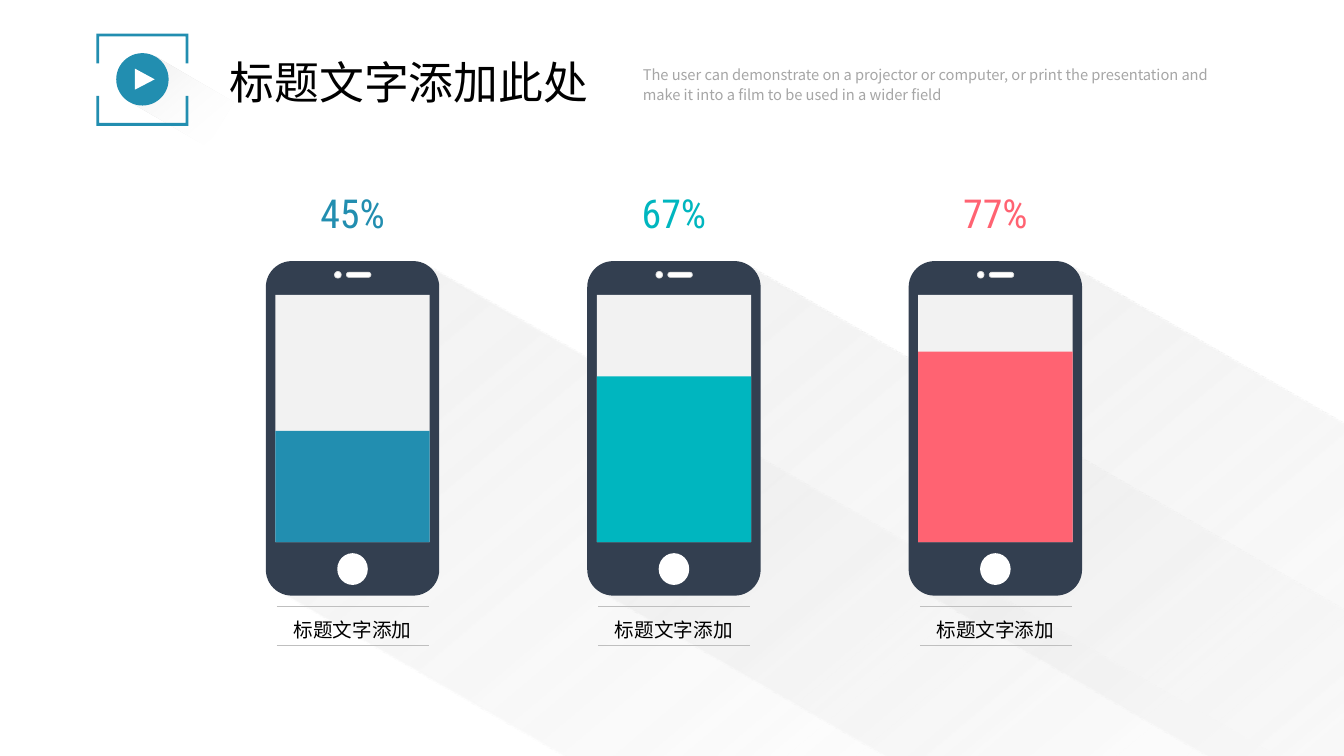
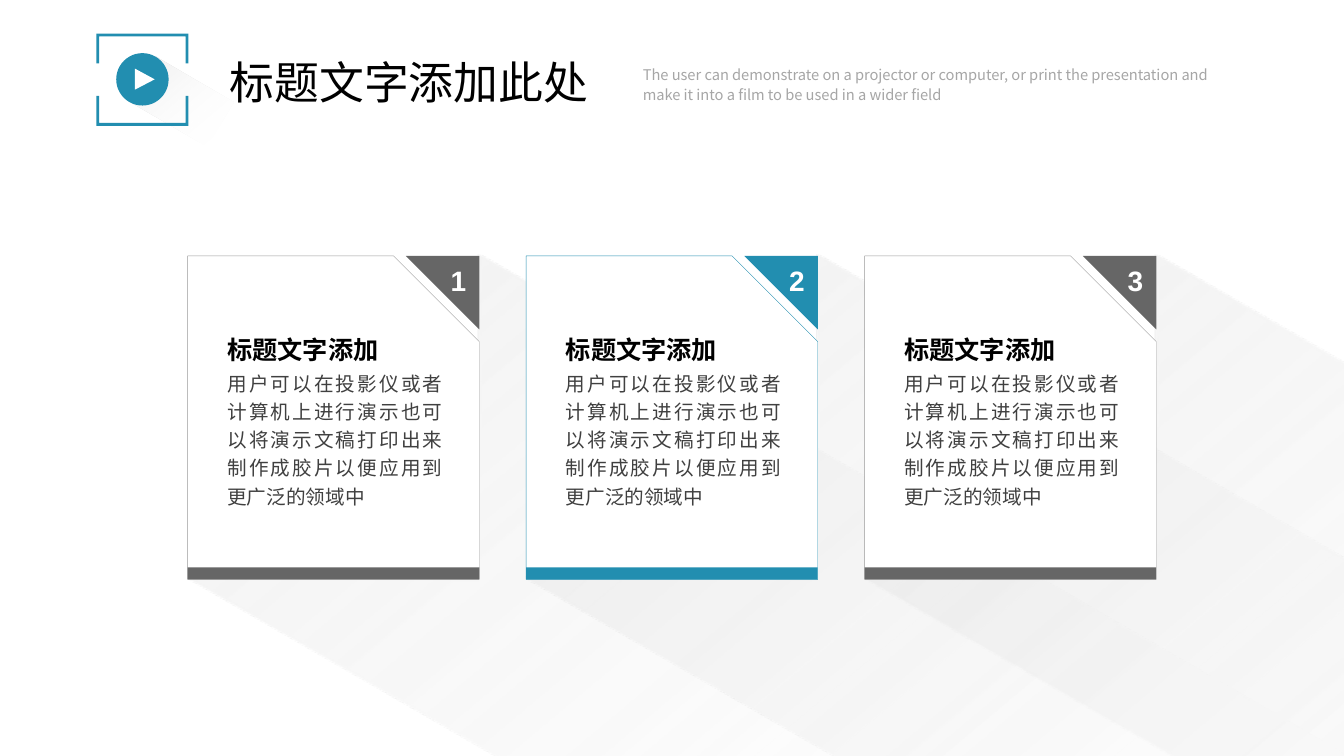
from dataclasses import dataclass

from lxml import etree
from pptx import Presentation
from pptx.dml.color import RGBColor
from pptx.enum.shapes import MSO_CONNECTOR, MSO_SHAPE
from pptx.enum.text import MSO_ANCHOR, MSO_AUTO_SIZE, PP_ALIGN
from pptx.oxml import parse_xml
from pptx.oxml.ns import nsdecls, qn
from pptx.util import Cm, Pt

RECT, ROUNDED, ELLIPSE, SNIPPED = (
    MSO_SHAPE.RECTANGLE, MSO_SHAPE.ROUNDED_RECTANGLE, MSO_SHAPE.OVAL, MSO_SHAPE.SNIP_1_RECTANGLE)
STRAIGHT = MSO_CONNECTOR.STRAIGHT
LEFT, CENTER, RIGHT, JUSTIFY = PP_ALIGN.LEFT, PP_ALIGN.CENTER, PP_ALIGN.RIGHT, PP_ALIGN.JUSTIFY
TOP, MIDDLE = MSO_ANCHOR.TOP, MSO_ANCHOR.MIDDLE


@dataclass(frozen=True)
class Theme:
    blue: str = "228EB0"
    teal: str = "00B6BF"
    coral: str = "FF6372"
    navy: str = "333F50"
    grey: str = "666666"
    outline: str = "999999"
    rule: str = "BFBFBF"
    shade: str = "D9D9D9"
    pale: str = "F2F2F2"
    white: str = "FFFFFF"
    black: str = "000000"
    body: str = "404040"
    muted: str = "A6A6A6"
    latin: str = "Arial"
    cjk: str = "Noto Sans CJK SC"
    figures: str = "Roboto Condensed"
    title_size: float = 32
    figure_size: float = 28.5
    number_size: float = 20
    heading_size: float = 18
    text_size: float = 14
    subtitle_size: float = 10.5


THEME = Theme()


def draw(slide, outline, left, top, width=0, height=0, fill=THEME.white, line=None, weight=0.25):
    """Draw a preset, or a freeform when outline is a list of contours, in cm."""
    if isinstance(outline, list):
        contours = [[(Cm(left + x), Cm(top + y)) for x, y in contour] for contour in outline]
        builder = slide.shapes.build_freeform(*contours[0][0])
        builder.add_line_segments(contours[0][1:], close=True)
        for contour in contours[1:]:
            builder.move_to(*contour[0])
            builder.add_line_segments(contour[1:], close=True)
        shape = builder.convert_to_shape()
    else:
        shape = slide.shapes.add_shape(outline, Cm(left), Cm(top), Cm(width), Cm(height))
    shape.shadow.inherit = False
    shape.fill.solid()
    shape.fill.fore_color.rgb = RGBColor.from_string(fill)
    if line:
        shape.line.color.rgb = RGBColor.from_string(line)
        shape.line.width = Pt(weight)
    else:
        shape.line.fill.background()
    return shape


def write(shape, words, size, color, font=THEME.latin, bold=False, align=LEFT,
          anchor=TOP, spacing=1.0, inset=(0.25, 0.13)):
    frame = shape.text_frame
    frame.word_wrap = True
    frame.auto_size = MSO_AUTO_SIZE.NONE
    frame.vertical_anchor = anchor
    frame.margin_left = frame.margin_right = Cm(inset[0])
    frame.margin_top = frame.margin_bottom = Cm(inset[1])
    paragraph = frame.paragraphs[0]
    paragraph.alignment = align
    paragraph.line_spacing = spacing
    paragraph.space_before = Pt(0)
    run = paragraph.add_run()
    run.text = words
    run.font.name = font
    run.font.size = Pt(size)
    run.font.bold = bold
    run.font.color.rgb = RGBColor.from_string(color)
    east_asian = etree.SubElement(run._r.get_or_add_rPr(), qn("a:ea"))
    east_asian.set("typeface", THEME.cjk)


deck = Presentation()
deck.slide_width, deck.slide_height = Cm(33.87), Cm(19.05)
phone_slide, card_slide = [deck.slides.add_slide(deck.slide_layouts[1]) for _ in range(2)]

PHONE_LEFT, PHONE_TOP, PHONE_STEP = 6.7, 6.58, 8.1
PHONE_WIDTH, PHONE_HEIGHT = 4.37, 8.43
CARD_LEFT, CARD_TOP, CARD_STEP = 4.73, 6.45, 8.53
CARD_WIDTH, CARD_HEIGHT = 7.35, 8.15

# Long shadows, behind everything else
phone_shadow = [[(0, 0), (26.54, 0), (26.54, 8.97), (0.79, 8.97)]]
card_shadow = [[(2.29, 0), (27.89, 0), (27.89, 10.74), (0, 10.74), (6.35, 7.09)]]
mark_shadow = [[(0, 1.3), (0.36, 0.66), (0.03, 0), (2.31, 0), (2.29, 1.3)]]
shadows = [(slide, mark_shadow, 3.4, 1.9, 50, THEME.white) for slide in deck.slides]
for column in range(3):
    shadows.append((phone_slide, phone_shadow, 6.77 + column * PHONE_STEP, 12.75, 40, THEME.pale))
    shadows.append((card_slide, card_shadow, 5.54 + column * CARD_STEP, 11.53, 40, THEME.pale))
for slide, outline, left, top, opacity, fade in shadows:
    shadow = draw(slide, outline, left, top)
    shadow.rotation = 30
    stops = "".join(
        f'<a:gs pos="{position * 1000}"><a:srgbClr val="{color}">'
        f'<a:alpha val="{alpha * 1000}"/></a:srgbClr></a:gs>'
        for position, color, alpha in
        [(0, THEME.shade, opacity), (85, fade, 0), (100, THEME.white, 0)])
    gradient = parse_xml(
        f'<a:gradFill {nsdecls("a")} rotWithShape="1"><a:gsLst>{stops}</a:gsLst>'
        f'<a:lin ang="{20 * 60000}" scaled="0"/></a:gradFill>')
    properties = shadow._element.spPr
    properties.replace(properties.find(qn("a:solidFill")), gradient)

# Header on both slides
side, stroke, arm = 2.32, 0.07, 0.75
upper_bracket = [(0, 0), (side, 0), (side, arm), (side - stroke, arm),
                 (side - stroke, stroke), (stroke, stroke), (stroke, arm), (0, arm)]
lower_bracket = [(x, side - y) for x, y in upper_bracket]
for slide in deck.slides:
    draw(slide, [upper_bracket, lower_bracket], 2.43, 0.85, fill=THEME.blue)
    draw(slide, ELLIPSE, 2.93, 1.34, 1.32, 1.32, fill=THEME.blue)
    draw(slide, [[(0, 0), (0.5, 0.27), (0, 0.53)]], 3.4, 1.73)

    title, subtitle = slide.placeholders
    title.left, title.top, title.width, title.height = Cm(5.54), Cm(1.24), Cm(10), Cm(1.63)
    write(title, "标题文字添加此处", THEME.title_size, THEME.black)
    subtitle.left, subtitle.top, subtitle.width, subtitle.height = (
        Cm(15.95), Cm(1.47), Cm(15.47), Cm(1.27))
    write(subtitle, "The user can demonstrate on a projector or computer, or print the "
          "presentation and make it into a film to be used in a wider field",
          THEME.subtitle_size, THEME.muted, font=THEME.cjk, spacing=1.14)
    paragraph_format = subtitle.text_frame.paragraphs[0]._p.get_or_add_pPr()
    paragraph_format.set("marL", "0")
    paragraph_format.set("indent", "0")
    etree.SubElement(paragraph_format, qn("a:buNone"))

# Phones filled up to their percentage
SCREEN_TOP, SCREEN_WIDTH, SCREEN_HEIGHT = 7.43, 3.89, 6.23
for column, (percent, color) in enumerate([(45, THEME.blue), (67, THEME.teal), (77, THEME.coral)]):
    left = PHONE_LEFT + column * PHONE_STEP
    body = draw(phone_slide, ROUNDED, left, PHONE_TOP, PHONE_WIDTH, PHONE_HEIGHT, fill=THEME.navy)
    body.adjustments[0] = 0.15
    screen_left = left + (PHONE_WIDTH - SCREEN_WIDTH) / 2
    draw(phone_slide, RECT, screen_left, SCREEN_TOP, SCREEN_WIDTH, SCREEN_HEIGHT, fill=THEME.pale)
    level = SCREEN_HEIGHT * percent / 100
    draw(phone_slide, RECT, screen_left, SCREEN_TOP + SCREEN_HEIGHT - level, SCREEN_WIDTH, level,
         fill=color)
    draw(phone_slide, ELLIPSE, left + 1.73, 6.84, 0.17, 0.17, line=THEME.shade, weight=0.5)
    speaker = draw(phone_slide, ROUNDED, left + 2.03, 6.86, 0.62, 0.13,
                   line=THEME.shade, weight=0.5)
    speaker.adjustments[0] = 0.5
    draw(phone_slide, ELLIPSE, left + 1.8, 13.94, 0.77, 0.8)

    figure = phone_slide.shapes.add_textbox(Cm(left), Cm(4.85), Cm(PHONE_WIDTH), Cm(1.02))
    write(figure, f"{percent}%", THEME.figure_size, color, font=THEME.figures,
          align=CENTER, anchor=MIDDLE, inset=(0, 0))
    for rule_top in (15.28, 16.26):
        rule = phone_slide.shapes.add_connector(
            STRAIGHT, Cm(left + 0.28), Cm(rule_top), Cm(left + 4.11), Cm(rule_top))
        rule.line.color.rgb = RGBColor.from_string(THEME.rule)
        rule.line.width = Pt(0.25)
        etree.SubElement(rule._element.spPr, qn("a:effectLst"))
    caption = phone_slide.shapes.add_textbox(Cm(left), Cm(15.32), Cm(PHONE_WIDTH), Cm(0.97))
    write(caption, "标题文字添加", THEME.text_size, THEME.black, align=CENTER, spacing=1.2)

# Numbered cards
CORNER, BAR_HEIGHT = 1.85, 0.3
for column, (color, border) in enumerate([
        (THEME.grey, THEME.outline), (THEME.blue, THEME.blue), (THEME.grey, THEME.outline)]):
    left = CARD_LEFT + column * CARD_STEP
    card = draw(card_slide, SNIPPED, left, CARD_TOP, CARD_WIDTH, CARD_HEIGHT, line=border)
    card.adjustments[0] = 0.294
    draw(card_slide, RECT, left, CARD_TOP + CARD_HEIGHT - BAR_HEIGHT, CARD_WIDTH, BAR_HEIGHT,
         fill=color)
    corner = draw(card_slide, [[(0, 0), (CORNER, 0), (CORNER, CORNER)]],
                  left + CARD_WIDTH - CORNER, CARD_TOP, fill=color)
    write(corner, str(column + 1), THEME.number_size, THEME.white, bold=True, align=RIGHT,
          inset=(0.33, 0.18))
    heading = card_slide.shapes.add_textbox(Cm(left + 0.75), Cm(8.15), Cm(5.1), Cm(1.17))
    write(heading, "标题文字添加", THEME.heading_size, THEME.black, bold=True,
          align=JUSTIFY, spacing=1.2)
    description = card_slide.shapes.add_textbox(Cm(left + 0.75), Cm(9.12), Cm(5.92), Cm(3.84))
    write(description, "用户可以在投影仪或者计算机上进行演示也可以将演示文稿打印出来制作成胶片以便应用到更广泛的领域中",
          THEME.text_size, THEME.body, align=JUSTIFY, spacing=1.2)

deck.save("out.pptx")
